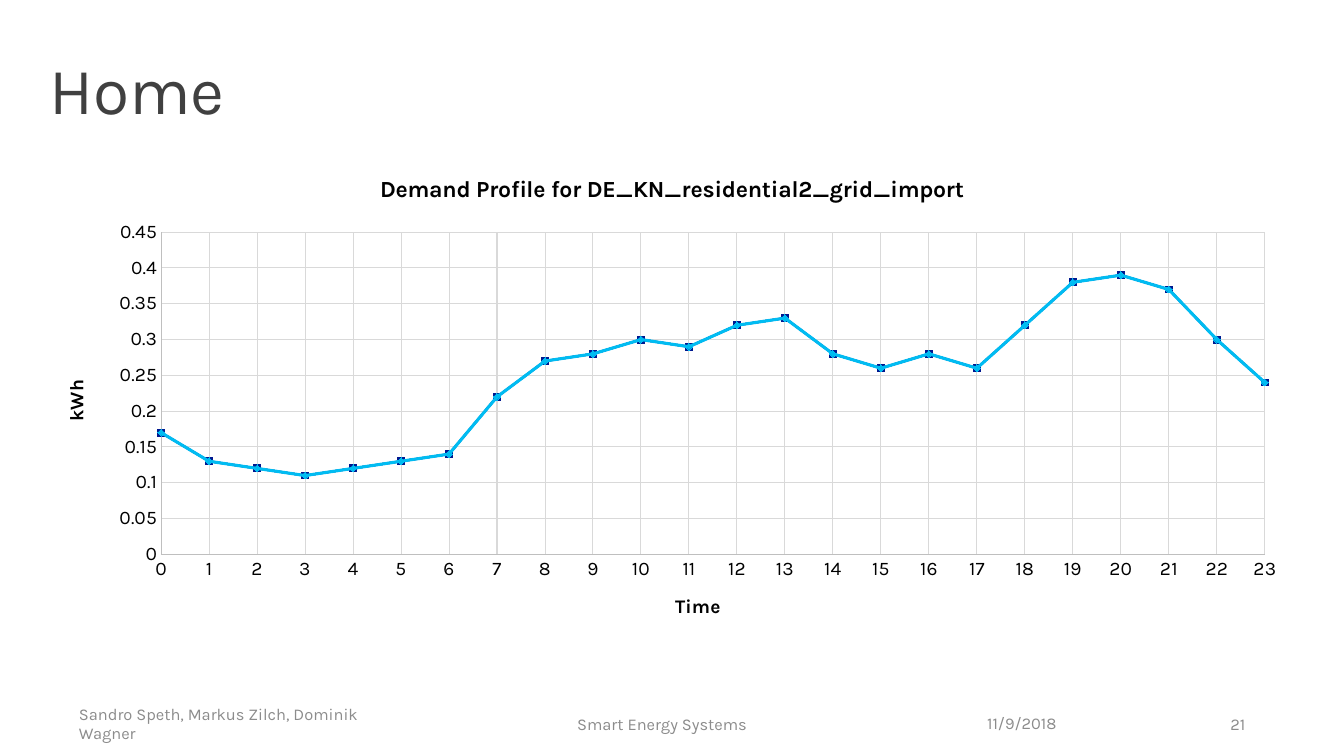
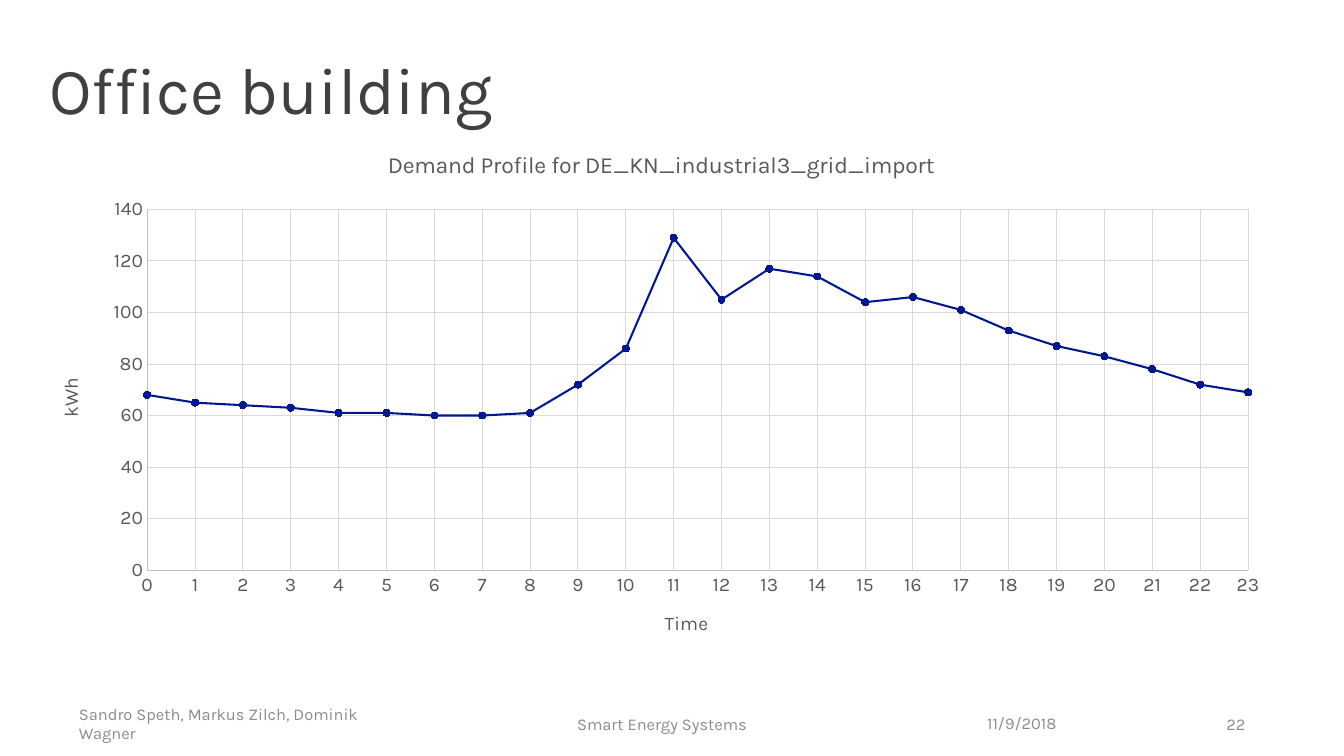
from dataclasses import dataclass

from lxml.etree import SubElement as Sub
from pptx import Presentation as Deck
from pptx.chart.data import XyChartData as Data
from pptx.dml.color import RGBColor as RGB
from pptx.enum.chart import XL_CHART_TYPE as Kind
from pptx.enum.chart import XL_MARKER_STYLE as Mark
from pptx.enum.chart import XL_TICK_MARK as Tick
from pptx.enum.text import MSO_ANCHOR as Anchor
from pptx.enum.text import PP_ALIGN as Align
from pptx.oxml.ns import qn
from pptx.util import Inches, Pt


@dataclass(frozen=True)
class Theme:
    face: str = "Karla"
    ink: RGB = RGB(0x40, 0x40, 0x40)
    foot: RGB = RGB(0x8C, 0x8C, 0x8C)
    black: RGB = RGB(0, 0, 0)
    gray: RGB = RGB(0x59, 0x59, 0x59)
    axis: RGB = RGB(0xBF, 0xBF, 0xBF)
    grid: RGB = RGB(0xD9, 0xD9, 0xD9)
    cyan: RGB = RGB(0x00, 0xBC, 0xF2)
    navy: RGB = RGB(0x00, 0x18, 0x8F)
    head: float = 48
    label: float = 16.8
    tick: float = 14
    small: float = 12


T = Theme()
SIZE = (13.6, 7.65)
PLACE = ("left", "top", "width", "height")
INSET = dict(margin_left=Inches(0.2), margin_right=Inches(0.2),
             margin_top=Inches(0.16), margin_bottom=Inches(0.16))
CYAN = (T.cyan, 2.25, Mark.DIAMOND)
SQUARE = (T.navy, 1.5, Mark.SQUARE)
ROUND = (T.navy, 1.5, Mark.CIRCLE)
FOOT = [
    ((0.7, 7.12, 3.6, 0.4), Align.LEFT, "Sandro Speth, Markus Zilch, Dominik Wagner"),
    ((9.89, 7.12, 3.11, 0.4), Align.LEFT, "11/9/2018"),
    ((3.4, 7.13, 6.6, 0.4), Align.CENTER, "Smart Energy Systems"),
]
PAGE = (9.59, 7.13, 3.11, 0.4)

HOME = dict(
    label="Demand Profile for DE_KN_residential2_grid_import",
    box=(0.43, 1.57, 12.74, 4.92), plot=(1.63, 2.35, 11.17, 3.26),
    top=0.45, step=0.05, color=T.black, bold=True,
    looks=[CYAN, SQUARE, SQUARE, ROUND],
    vals=[0.17, 0.13, 0.12, 0.11, 0.12, 0.13, 0.14, 0.22, 0.27, 0.28, 0.3, 0.29,
          0.32, 0.33, 0.28, 0.26, 0.28, 0.26, 0.32, 0.38, 0.39, 0.37, 0.3, 0.24],
)
OFFICE = dict(
    label="Demand Profile for DE_KN_industrial3_grid_import",
    box=(0.38, 1.32, 12.62, 5.33), plot=(1.49, 2.12, 11.14, 3.65),
    top=140, step=20, color=T.gray, bold=False, looks=[ROUND],
    vals=[68, 65, 64, 63, 61, 61, 60, 60, 61, 72, 86, 129,
          105, 117, 114, 104, 106, 101, 93, 87, 83, 78, 72, 69],
)


def put(item, **form):
    for name, val in form.items():
        setattr(item, name, val)


def ink(font, size, color, bold=False):
    put(font, name=T.face, size=Pt(size), bold=bold)
    font.color.rgb = color


def write(frame, text, size, color, bold=False, align=None):
    frame.text = text
    para = frame.paragraphs[0]
    para.alignment = align
    ink(para.runs[0].font, size, color, bold)


def stroke(line, color, width):
    line.color.rgb = color
    line.width = Pt(width)


def head(slide, text):
    title = slide.shapes.title
    put(title, **dict(zip(PLACE, map(Inches, (0.3, 0.33, 13, 1)))))
    put(title.text_frame, vertical_anchor=Anchor.TOP, word_wrap=True, **INSET)
    write(title.text_frame, text, T.head, T.ink, align=Align.LEFT)


def foot(slide, page):
    for box, align, text in FOOT + [(PAGE, Align.RIGHT, str(page))]:
        frame = slide.shapes.add_textbox(*map(Inches, box)).text_frame
        put(frame, word_wrap=True, vertical_anchor=Anchor.MIDDLE)
        write(frame, text, T.small, T.foot, align=align)


def scale(axis, text, top, step, color, bold):
    put(axis, minimum_scale=0, maximum_scale=top, major_unit=step,
        major_tick_mark=Tick.NONE, minor_tick_mark=Tick.NONE,
        has_major_gridlines=True)
    stroke(axis.format.line, T.axis, 0.75)
    stroke(axis.major_gridlines.format.line, T.grid, 0.75)
    put(axis.tick_labels, number_format="General", number_format_is_linked=False)
    ink(axis.tick_labels.font, T.tick, color)
    write(axis.axis_title.text_frame, text, T.tick, color, bold)


def fit(chart, box, plot):
    area = chart._chartSpace.chart.plotArea
    for old in area.findall(qn("c:layout")):
        area.remove(old)
    lay = Sub(area, qn("c:layout"))
    area.insert(0, lay)
    man = Sub(lay, qn("c:manualLayout"))
    parts = dict(layoutTarget="inner", xMode="edge", yMode="edge",
                 x=(plot[0] - box[0]) / box[2], y=(plot[1] - box[1]) / box[3],
                 w=plot[2] / box[2], h=plot[3] / box[3])
    for name, val in parts.items():
        Sub(man, qn("c:" + name)).set("val", str(val))


def paint(line, color, width, mark):
    line.smooth = False
    stroke(line.format.line, color, width)
    put(line.marker, style=mark, size=5)
    form = line.marker.format
    form.fill.solid()
    form.fill.fore_color.rgb = color
    stroke(form.line, color, 0.75)


def graph(slide, label, box, plot, top, step, color, bold, looks, vals):
    data = Data()
    for num in range(len(looks)):
        row = data.add_series(f"Series {num + 1}")
        for hour, val in enumerate(vals):
            row.add_data_point(hour, val)
    chart = slide.shapes.add_chart(
        Kind.XY_SCATTER_LINES, *map(Inches, box), data).chart
    put(chart, has_legend=False, has_title=True)
    ink(chart.font, T.tick, color)
    write(chart.chart_title.text_frame, label, T.label, color, bold)
    chart.chart_title.include_in_layout = False
    scale(chart.category_axis, "Time", len(vals) - 1, 1, color, bold)
    scale(chart.value_axis, "kWh", top, step, color, bold)
    chart.plots[0].vary_by_categories = False
    for line, look in zip(chart.plots[0].series, looks):
        paint(line, *look)
    fit(chart, box, plot)


def main():
    deck = Deck()
    deck.slide_width, deck.slide_height = map(Inches, SIZE)
    pages = [("Home", HOME), ("Office building", OFFICE)]
    for page, (text, form) in enumerate(pages, 21):
        slide = deck.slides.add_slide(deck.slide_layouts[5])
        head(slide, text)
        foot(slide, page)
        graph(slide, **form)
    deck.save("out.pptx")


if __name__ == "__main__":
    main()
